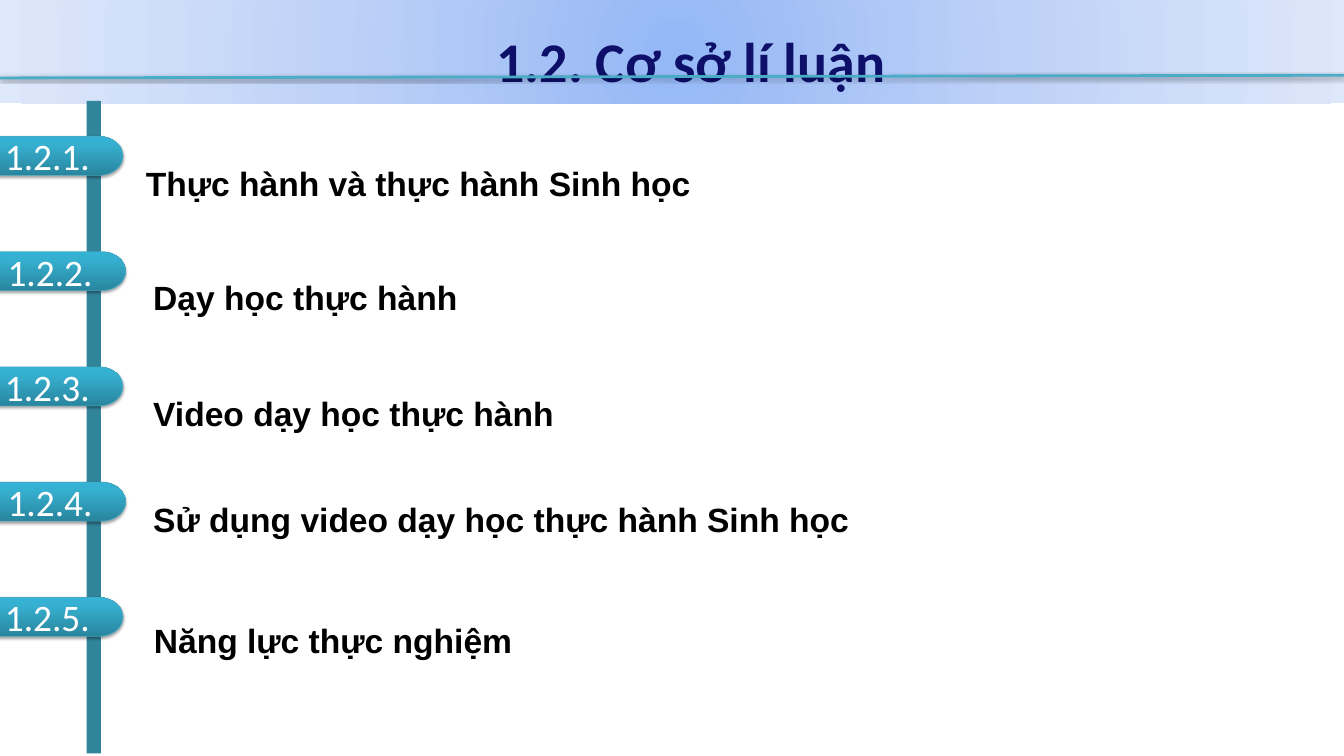
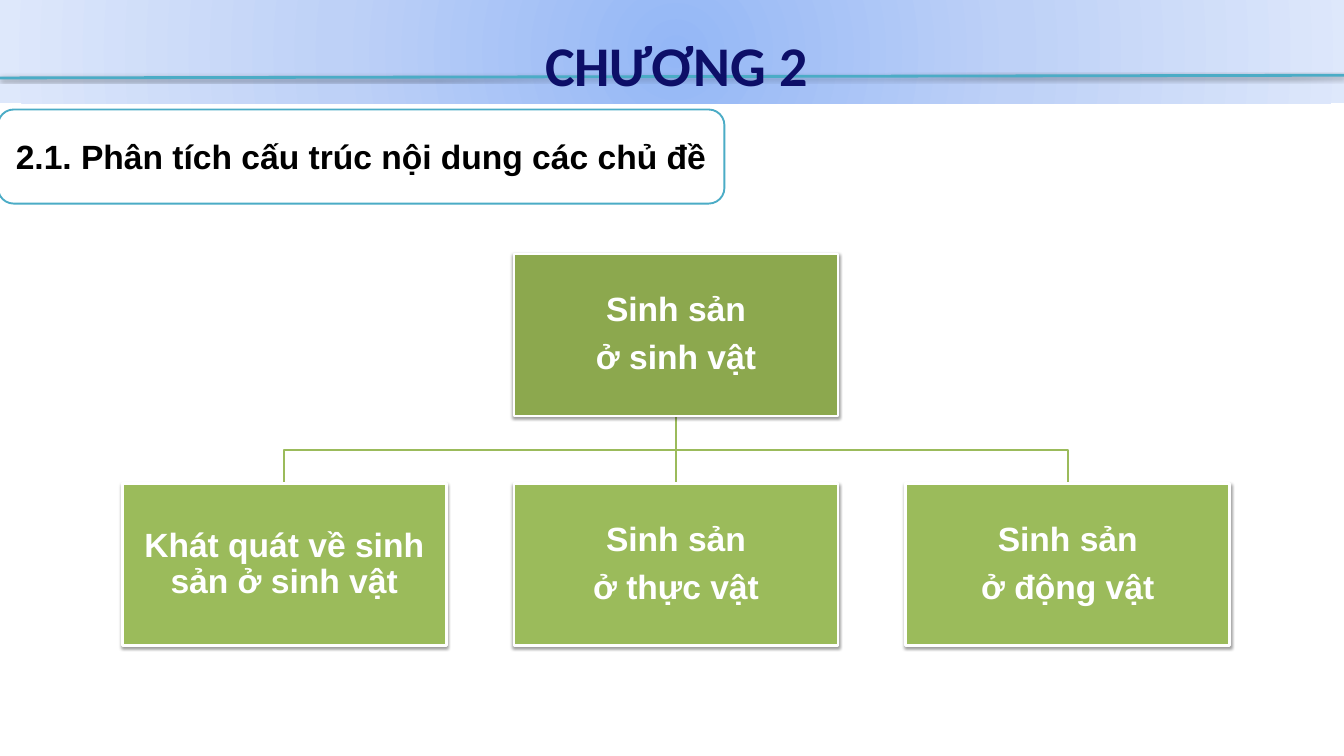
from pptx import Presentation
from pptx.dml.color import RGBColor
from pptx.enum.shapes import MSO_CONNECTOR, MSO_SHAPE
from pptx.enum.text import MSO_ANCHOR, MSO_AUTO_SIZE, PP_ALIGN
from pptx.oxml import parse_xml
from pptx.oxml.ns import nsdecls, qn
from pptx.util import Inches, Pt

COLS, ROWS = 20, 11.25
WIDTH, HEIGHT = Inches(20), Inches(11.25)
UNIT = WIDTH // COLS

WHITE = RGBColor(0xFF, 0xFF, 0xFF)
BLACK = RGBColor(0x00, 0x00, 0x00)
NAVY = RGBColor(0x0D, 0x0F, 0x68)
AQUA = RGBColor(0x4B, 0xAC, 0xC6)
TEAL = RGBColor(0x31, 0x85, 0x9B)
RIM = RGBColor(0x45, 0xA9, 0xC4)
OLIVE = RGBColor(0x8C, 0xA8, 0x4E)
GREEN = RGBColor(0x9B, 0xBB, 0x5B)
SKY = [(0, RGBColor(0x94, 0xB7, 0xF6)), (50, RGBColor(0xBE, 0xD1, 0xF7)),
       (100, RGBColor(0xDE, 0xE8, 0xFB))]
SEA = [(0, RGBColor(0x29, 0x85, 0x9E)), (80, RGBColor(0x36, 0xB0, 0xD0)),
       (100, RGBColor(0x33, 0xB3, 0xD5))]
GLOW = ('<a:path path="circle"><a:fillToRect l="50000" t="50000" '
        'r="50000" b="50000"/></a:path>')
RISE = '<a:lin ang="16200000" scaled="0"/>'

# Left, top and width of each topic
TOPICS = [
    ("Thực hành và thực hành Sinh học", 2.17, 1.85, 12.25),
    ("Dạy học thực hành", 2.28, 3.55, 5.56),
    ("Video dạy học thực hành", 2.28, 5.27, 6.14),
    ("Sử dụng video dạy học thực hành Sinh học", 2.28, 6.85, 11.78),
    ("Năng lực thực nghiệm", 2.29, 8.65, 8.44),
]
ROOT = ["Sinh sản", "ở sinh vật"]
LEAVES = [["Khát quát về sinh sản ở sinh vật"],
          ["Sinh sản", "ở thực vật"],
          ["Sinh sản", "ở động vật"]]
CARD_W, CARD_H = 4.82, 2.41
LEFT, STEP = 1.82, 5.83
ROOT_TOP, LEAF_TOP = 3.78, 7.2


def grid(*cells):
    """Turn columns and rows of the grid into lengths."""
    return [round(cell * UNIT) for cell in cells]


def shade(shape, alpha=35, dist=1.8):
    """Give the shape a soft shadow straight below it."""
    props = shape.element.spPr
    old = props.find(qn("a:effectLst"))
    if old is not None:
        props.remove(old)
    props.append(parse_xml(
        f'<a:effectLst {nsdecls("a")}><a:outerShdw blurRad="{Pt(3.1)}" '
        f'dist="{Pt(dist)}" dir="5400000" rotWithShape="0">'
        f'<a:srgbClr val="{BLACK}"><a:alpha val="{alpha * 1000}"/></a:srgbClr>'
        '</a:outerShdw></a:effectLst>'))


def blend(shape, stops, course):
    """Fill the shape with a gradient."""
    shape.fill.background()
    props = shape.element.spPr
    marks = "".join(f'<a:gs pos="{at * 1000}"><a:srgbClr val="{tint}"/></a:gs>'
                    for at, tint in stops)
    props.replace(props.find(qn("a:noFill")), parse_xml(
        f'<a:gradFill {nsdecls("a")} rotWithShape="1">'
        f'<a:gsLst>{marks}</a:gsLst>{course}</a:gradFill>'))


def stroke(shape, color, width):
    shape.line.color.rgb = color
    shape.line.width = Pt(width)


def draw(slide, kind, cells, fill=None, line=None, width=1):
    shape = slide.shapes.add_shape(kind, *grid(*cells))
    shape.shadow.inherit = False
    if fill is not None:
        shape.fill.solid()
        shape.fill.fore_color.rgb = fill
    if line is None:
        shape.line.fill.background()
    else:
        stroke(shape, line, width)
    return shape


def link(slide, start, end, color, width):
    line = slide.shapes.add_connector(
        MSO_CONNECTOR.STRAIGHT, *grid(*start, *end))
    stroke(line, color, width)
    line.element.spPr.append(parse_xml(f'<a:effectLst {nsdecls("a")}/>'))
    return line


def write(shape, texts, size, color, face="Arial", bold=True,
          align=PP_ALIGN.CENTER, space=1.0, gap=0):
    frame = shape.text_frame
    frame.word_wrap = True
    frame.text = "\n".join(texts)
    for row, para in enumerate(frame.paragraphs):
        para.alignment = align
        para.line_spacing = space
        para.space_before = Pt(gap if row else 0)
        font = para.font
        font.name, font.size, font.bold = face, Pt(size), bold
        font.color.rgb = color


def pad(shape, side):
    frame = shape.text_frame
    frame.margin_left = frame.margin_right = Inches(side)
    frame.margin_top = frame.margin_bottom = Inches(side)


def grow(shape):
    """Let the shape hug its text from the top, without margins."""
    pad(shape, 0)
    shape.text_frame.vertical_anchor = MSO_ANCHOR.TOP
    shape.text_frame.auto_size = MSO_AUTO_SIZE.SHAPE_TO_FIT_TEXT


def rule(slide):
    shade(link(slide, (0, 1.16), (COLS, 1.12), AQUA, 3))


def head(slide, text, cells, align):
    """Set the title above all that is drawn so far."""
    title = slide.shapes.title
    title.left, title.top, title.width, title.height = grid(*cells)
    write(title, [text], 60, NAVY, "Calibri", align=align, space=1.4)
    grow(title)
    slide.shapes.element.append(title.element)


def start(deck):
    slide = deck.slides.add_slide(deck.slide_layouts[5])
    band = draw(slide, MSO_SHAPE.RECTANGLE, (0, 0, 20.12, 1.54))
    blend(band, SKY, GLOW)
    return slide


def topic(slide, text, left, top, width):
    box = slide.shapes.add_textbox(*grid(left, top, width, 0.85))
    write(box, [text], 36, BLACK, align=PP_ALIGN.LEFT, space=1.95)
    grow(box)


def badge(slide, index):
    left = -0.38 if index % 2 else -0.42
    pill = draw(slide, MSO_SHAPE.FLOWCHART_TERMINATOR,
                (left, 2.03 + 1.715 * index, 2.25, 0.58), line=RIM, width=0.75)
    blend(pill, SEA, RISE)
    shade(pill)
    write(pill, [f"1.2.{index + 1}."], 40, WHITE, "Calibri", bold=False)


def card(slide, texts, left, top, fill):
    box = draw(slide, MSO_SHAPE.RECTANGLE, (left, top, CARD_W, CARD_H),
               fill, WHITE, 3)
    shade(box, 38, 1.6)
    pad(box, 0.02)
    write(box, texts, 36, WHITE, space=0.9, gap=12.6)


def branch(slide, left):
    """Join the root card to the leaf card that starts at left."""
    root, leaf = LEFT + STEP + CARD_W / 2, left + CARD_W / 2
    top = ROOT_TOP + CARD_H
    if abs(root - leaf) < 0.01:
        link(slide, (root, top), (leaf, LEAF_TOP), GREEN, 2)
        return
    bend = (top + LEAF_TOP) / 2
    pen = slide.shapes.build_freeform(*grid(root, top))
    pen.add_line_segments([grid(root, bend), grid(leaf, bend),
                           grid(leaf, LEAF_TOP)], close=False)
    elbow = pen.convert_to_shape()
    elbow.shadow.inherit = False
    elbow.fill.background()
    stroke(elbow, GREEN, 2)


def theory(deck):
    slide = start(deck)
    head(slide, "1.2. Cơ sở lí luận", (7.39, 0, 6.3, 1.12), PP_ALIGN.LEFT)
    rule(slide)
    draw(slide, MSO_SHAPE.RECTANGLE, (1.29, 1.5, 0.21, 9.71), TEAL)
    for index, entry in enumerate(TOPICS):
        topic(slide, *entry)
        badge(slide, index)


def chapter(deck):
    slide = start(deck)
    rule(slide)
    label = draw(slide, MSO_SHAPE.ROUNDED_RECTANGLE, (-0.03, 1.63, 10.81, 1.4),
                 WHITE, AQUA, 2)
    write(label, ["2.1. Phân tích cấu trúc nội dung các chủ đề"], 36, BLACK)
    head(slide, "CHƯƠNG 2", (4.01, 0.05, 12.11, 1.11), PP_ALIGN.CENTER)
    lefts = [LEFT + STEP * index for index in range(len(LEAVES))]
    for left in lefts:
        branch(slide, left)
    card(slide, ROOT, lefts[1], ROOT_TOP, OLIVE)
    for texts, left in zip(LEAVES, lefts):
        card(slide, texts, left, LEAF_TOP, GREEN)


def main():
    deck = Presentation()
    deck.slide_width, deck.slide_height = WIDTH, HEIGHT
    theory(deck)
    chapter(deck)
    deck.save("out.pptx")


if __name__ == "__main__":
    main()
